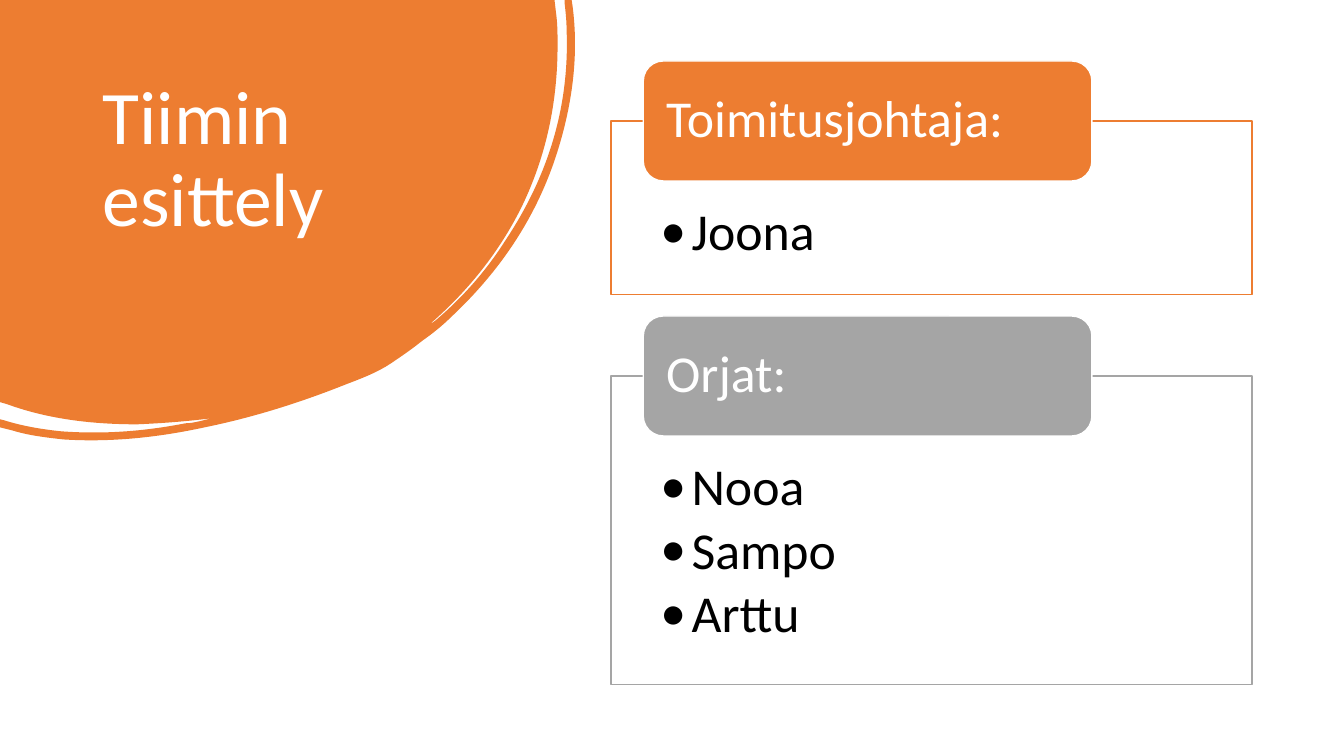
from lxml import etree
from pptx import Presentation
from pptx.dml.color import RGBColor
from pptx.enum.shapes import MSO_SHAPE
from pptx.enum.text import MSO_ANCHOR, PP_ALIGN
from pptx.oxml.ns import qn
from pptx.util import Inches, Pt

RECTANGLE, ROUNDED = MSO_SHAPE.RECTANGLE, MSO_SHAPE.ROUNDED_RECTANGLE
TOP, MIDDLE = MSO_ANCHOR.TOP, MSO_ANCHOR.MIDDLE
LEFT = PP_ALIGN.LEFT

COLORS = {"orange": "ED7D31", "gray": "A5A5A5", "white": "FFFFFF", "black": "000000"}
FONT = "Calibri"

# Blob outline in inches: pairs are straight lines, sixes are Bezier curves
BLOB = [
    (5.5, 0), (5.52, 0.17),
    (5.53, 0.26, 5.53, 0.36, 5.53, 0.45), (5.53, 1.01, 5.42, 1.54, 5.18, 2.04),
    (4.96, 2.49, 4.65, 2.88, 4.27, 3.21), (4.29, 3.21, 4.3, 3.19, 4.32, 3.18),
    (4.59, 2.95, 4.82, 2.69, 5.01, 2.39), (5.43, 1.76, 5.65, 1.07, 5.62, 0.3),
    (5.62, 0.21, 5.61, 0.12, 5.6, 0.03),
    (5.6, 0), (5.67, 0), (5.68, 0.07),
    (5.74, 0.54, 5.68, 1.02, 5.53, 1.5), (5.33, 2.14, 4.97, 2.68, 4.48, 3.14),
    (4.39, 3.23, 4.29, 3.31, 4.19, 3.38), (4.09, 3.46, 3.99, 3.53, 3.87, 3.61),
    (3.75, 3.69, 3.6, 3.75, 3.44, 3.81), (2.99, 3.99, 2.52, 4.14, 2.03, 4.24),
    (1.57, 4.34, 1.1, 4.39, 0.63, 4.36), (0.45, 4.34, 0.28, 4.32, 0.12, 4.27),
    (0, 4.24), (0, 4.16), (0.04, 4.17),
    (0.23, 4.23, 0.42, 4.26, 0.61, 4.28), (1.03, 4.31, 1.43, 4.28, 1.84, 4.2),
    (1.89, 4.2, 1.93, 4.19, 1.98, 4.18), (2.02, 4.17, 2.06, 4.16, 2.1, 4.15),
    (1.86, 4.18, 1.61, 4.2, 1.36, 4.21), (0.92, 4.21, 0.48, 4.16, 0.07, 4.01),
    (0, 3.99),
]
UNITS = 1000  # freeform units per inch

# Heading, names, colour, card top, card height
GROUPS = [
    ("Toimitusjohtaja:", ["Joona"], "orange", 1.2, 1.72),
    ("Orjat:", ["Nooa", "Sampo", "Arttu"], "gray", 3.73, 3.06),
]
LABEL_HEIGHT = 1.19


def add_panel(kind, left, top, width, height, fill, line):
    panel = page.shapes.add_shape(
        kind, Inches(left), Inches(top), Inches(width), Inches(height))
    panel.shadow.inherit = False
    panel.fill.solid()
    panel.fill.fore_color.rgb = RGBColor.from_string(COLORS[fill])
    panel.line.color.rgb = RGBColor.from_string(COLORS[line])
    panel.line.width = Pt(1)
    return panel


def write_text(box, lines, size, color, anchor, margins):
    frame = box.text_frame
    frame.word_wrap = True
    frame.vertical_anchor = anchor
    frame.margin_left, frame.margin_top, frame.margin_right, frame.margin_bottom = map(
        Inches, margins)
    frame.text = "\n".join(lines)
    for para in frame.paragraphs:
        para.alignment = LEFT
        para.line_spacing = 0.9
        for span in para.runs:
            span.font.name = FONT
            span.font.size = Pt(size)
            span.font.color.rgb = RGBColor.from_string(COLORS[color])


deck = Presentation()
deck.slide_width, deck.slide_height = Inches(13.33), Inches(7.5)
page = deck.slides.add_slide(deck.slide_layouts[6])

# Orange blob in the corner, drawn through the segment ends
builder = page.shapes.build_freeform(0, 0, scale=Inches(1) / UNITS)
builder.add_line_segments(
    [(x * UNITS, y * UNITS) for *_, x, y in BLOB], close=True)
blob = builder.convert_to_shape()
blob.shadow.inherit = False
blob.fill.solid()
blob.fill.fore_color.rgb = RGBColor.from_string(COLORS["orange"])
blob.line.fill.background()

# Bend the curved segments by adding their control points
sides = list(blob._element.iter(qn("a:lnTo")))
for side, segment in zip(sides, BLOB):
    if len(segment) == 6:
        curve = etree.Element(qn("a:cubicBezTo"))
        for x, y in zip(segment[::2], segment[1::2]):
            etree.SubElement(curve, qn("a:pt"),
                             x=str(round(x * UNITS)), y=str(round(y * UNITS)))
        side.getparent().replace(side, curve)

# Title
title = page.shapes.add_textbox(Inches(0.92), Inches(0.74), Inches(3.52), Inches(2.22))
write_text(title, ["Tiimin esittely"], 54, "white", TOP, (0.1, 0.05, 0.1, 0.05))

# Team cards, each with a heading label centred on its top edge
for heading, names, color, top, height in GROUPS:
    card = add_panel(RECTANGLE, 6.06, top, 6.36, height, "white", color)
    white = card.fill._xPr.find(qn("a:solidFill"))[0]
    etree.SubElement(white, qn("a:alpha"), val="90000")
    write_text(card, names, 37, "black", TOP, (0.49, 0.84, 0.49, 0.29))
    for para in card.text_frame.paragraphs:
        para.space_after = Pt(5.5)
        properties = para._p.get_or_add_pPr()
        properties.set("marL", str(Inches(0.31)))
        properties.set("indent", str(-Inches(0.31)))
        etree.SubElement(properties, qn("a:buFont"), typeface=FONT)
        etree.SubElement(properties, qn("a:buChar"), char="•")

    label = add_panel(ROUNDED, 6.38, top - LABEL_HEIGHT / 2, 4.45, LABEL_HEIGHT,
                      color, "white")
    write_text(label, [heading], 37, "white", MIDDLE, (0.17, 0, 0.17, 0))

deck.save("out.pptx")
